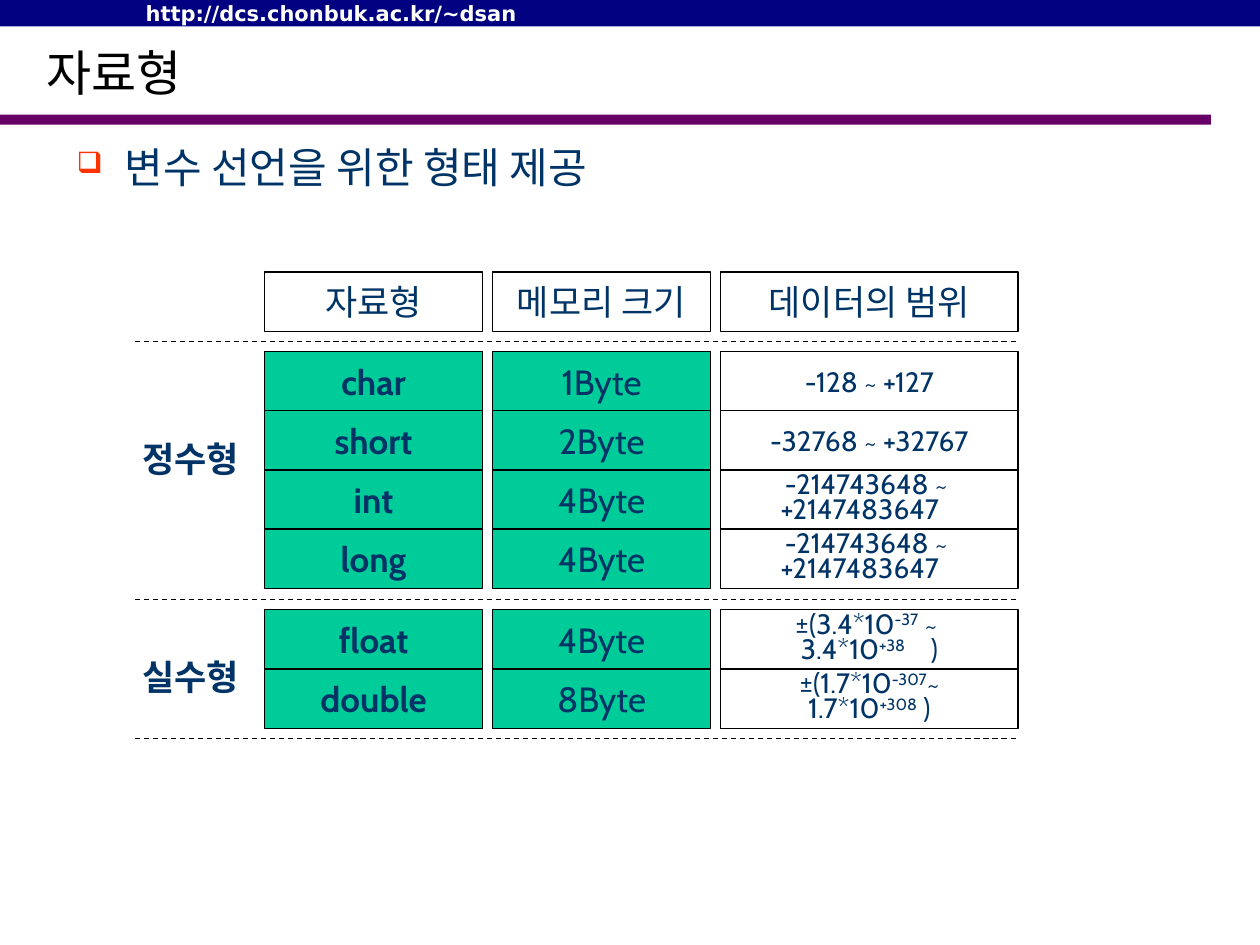
from lxml import etree
from pptx import Presentation
from pptx.dml.color import RGBColor
from pptx.enum import dml, shapes, text
from pptx.oxml import ns
from pptx.util import Inches, Pt

COLORS = {"navy": "000080", "purple": "660066", "ink": "003366", "green": "00CC99",
          "bullet": "FF3300", "black": "000000", "white": "FFFFFF"}


def rgb(name):
    return RGBColor.from_string(COLORS[name])


def add_xml(parent, tag, **attrs):
    return etree.SubElement(parent, ns.qn(tag), attrs)


class SlideBuilder:
    font = "Cabin"

    def __init__(self, slide):
        self.s = slide

    def add_runs(self, p, parts, color="ink", **fmt):
        """Each part is text, or (text, baseline, extra letter spacing)."""
        for part in parts:
            words, baseline, spacing = (part, 0, 0) if isinstance(part, str) else part
            r = p.add_run()
            r.text = words
            for key, value in {"name": self.font, "size": Pt(20), **fmt}.items():
                setattr(r.font, key, value)
            r.font.color.rgb = rgb(color)
            rPr = r._r.get_or_add_rPr()
            if baseline:
                rPr.set("baseline", str(baseline * 1000))
            if spacing:
                rPr.set("spc", str(spacing * 100))

    def box(self, x, y, w, h, fill=None, line=None):
        sp = self.s.shapes.add_shape(shapes.MSO_SHAPE.RECTANGLE,
                                     Inches(x), Inches(y), Inches(w), Inches(h))
        sp.shadow.inherit = False
        if fill:
            sp.fill.solid()
            sp.fill.fore_color.rgb = rgb(fill)
        else:
            sp.fill.background()
        if line:
            sp.line.color.rgb = rgb(line)
            sp.line.width = Pt(0.75)
        else:
            sp.line.fill.background()
        return sp

    def cell(self, x, y, w, lines, fill=None, **fmt):
        tf = self.box(x, y, w, ROW_H, fill, "black").text_frame
        tf.word_wrap = False
        tf.vertical_anchor = text.MSO_ANCHOR.MIDDLE
        for i, (parts, right_indent) in enumerate(lines):
            p = tf.add_paragraph() if i else tf.paragraphs[0]
            p.alignment = text.PP_ALIGN.CENTER
            if len(lines) > 1:
                p.line_spacing = 0.75
            if right_indent:
                p._p.get_or_add_pPr().set("marR", str(Inches(right_indent)))
            self.add_runs(p, parts, **fmt)

    def textbox(self, x, y, w, h, wrap=True):
        tf = self.s.shapes.add_textbox(Inches(x), Inches(y), Inches(w), Inches(h)).text_frame
        tf.word_wrap = wrap
        return tf

    def label(self, y, words):
        tf = self.textbox(1.03, y, 0.97, 0.44, wrap=False)
        tf.auto_size = text.MSO_AUTO_SIZE.SHAPE_TO_FIT_TEXT
        self.add_runs(tf.paragraphs[0], [words], bold=True)

    def bullet(self, x, y, w, h, words):
        p = self.textbox(x, y, w, h).paragraphs[0]
        pPr = p._p.get_or_add_pPr()
        pPr.set("marL", str(Inches(0.38)))
        pPr.set("indent", str(-Inches(0.38)))
        add_xml(add_xml(pPr, "a:buClr"), "a:srgbClr", val=COLORS["bullet"])
        add_xml(pPr, "a:buSzPct", val="70000")
        add_xml(pPr, "a:buChar", char="❑")
        self.add_runs(p, [words], name="Courier New", size=Pt(24))

    def header(self, words):
        tf = self.box(0, 0, 10, 0.21, "navy").text_frame
        tf.vertical_anchor = text.MSO_ANCHOR.MIDDLE
        p = tf.paragraphs[0]
        p.alignment = text.PP_ALIGN.LEFT
        tabs = add_xml(p._p.get_or_add_pPr(), "a:tabLst")
        add_xml(tabs, "a:tab", pos=str(Inches(1)), algn="l")
        self.add_runs(p, [words], "white", name="DejaVu Sans", size=Pt(12), bold=True)

    def title(self, words):
        sp = self.s.shapes.title
        for key, value in {"left": 0.27, "top": 0.28, "width": 8.98, "height": 0.58}.items():
            setattr(sp, key, Inches(value))
        sp.text_frame.vertical_anchor = text.MSO_ANCHOR.MIDDLE
        p = sp.text_frame.paragraphs[0]
        p.alignment = text.PP_ALIGN.LEFT
        self.add_runs(p, [words], "black", name="Noto Sans CJK KR", size=Pt(28))

    def dashed_line(self, y):
        c = self.s.shapes.add_connector(shapes.MSO_CONNECTOR.STRAIGHT,
                                        Inches(1.07), Inches(y), Inches(8.08), Inches(y))
        c.line.color.rgb = rgb("black")
        c.line.width = Pt(0.75)
        c.line.dash_style = dml.MSO_LINE.DASH
        add_xml(c._element.spPr, "a:effectLst")


ROW_H = 0.47
COLUMNS = [(2.1, 1.73), (3.91, 1.73), (5.72, 2.36)]  # left, width
HEADINGS = ["자료형", "메모리 크기", "데이터의 범위"]

# Range lines: (text parts, right indent)
LONG_RANGE = [(["-214743648 ~ "], 0), (["+2147483647"], 0.15)]
FLOAT_RANGE = [(["±(3.4*10", ("-37", 30, 0), " ~ "], 0),
               (["3.4*10", ("+38", 30, 0), (" ", 0, 11), ")"], 0)]
DOUBLE_RANGE = [(["±(1.7*10", ("-307", 30, 0), "~"], 0),
                (["1.7*10", ("+308", 30, 0), " )"], 0)]

# Groups: label, label top, first row top, rows
GROUPS = [
    ("정수형", 3.42, 2.79, [
        ("char", "1Byte", [(["-128 ~ +127"], 0)]),
        ("short", "2Byte", [(["-32768 ~ +32767"], 0)]),
        ("int", "4Byte", LONG_RANGE),
        ("long", "4Byte", LONG_RANGE)]),
    ("실수형", 5.15, 4.84, [
        ("float", "4Byte", FLOAT_RANGE),
        ("double", "8Byte", DOUBLE_RANGE)]),
]


def main():
    prs = Presentation()
    prs.slide_width, prs.slide_height = Inches(10), Inches(7.5)
    b = SlideBuilder(prs.slides.add_slide(prs.slide_layouts[5]))

    # Page frame and title
    b.box(0, 0.91, 9.61, 0.08, "purple")
    b.header("\t http://dcs.chonbuk.ac.kr/~dsan")
    b.title("자료형")
    b.bullet(0.51, 1.07, 9.06, 5.98, "변수 선언을 위한 형태 제공")

    # Column headings
    for (x, w), heading in zip(COLUMNS, HEADINGS):
        b.cell(x, 2.16, w, [([heading], 0)])

    # Type rows by group
    (type_x, type_w), (size_x, size_w), (range_x, range_w) = COLUMNS
    for name, label_y, top, rows in GROUPS:
        b.label(label_y, name)
        for i, (kind, size, limits) in enumerate(rows):
            y = top + i * ROW_H
            b.cell(type_x, y, type_w, [([kind], 0)], "green", bold=True)
            b.cell(size_x, y, size_w, [([size], 0)], "green")
            b.cell(range_x, y, range_w, limits, size=Pt(16))

    # Group separators
    for y in (2.71, 4.76, 5.86):
        b.dashed_line(y)

    prs.save("out.pptx")


if __name__ == "__main__":
    main()
